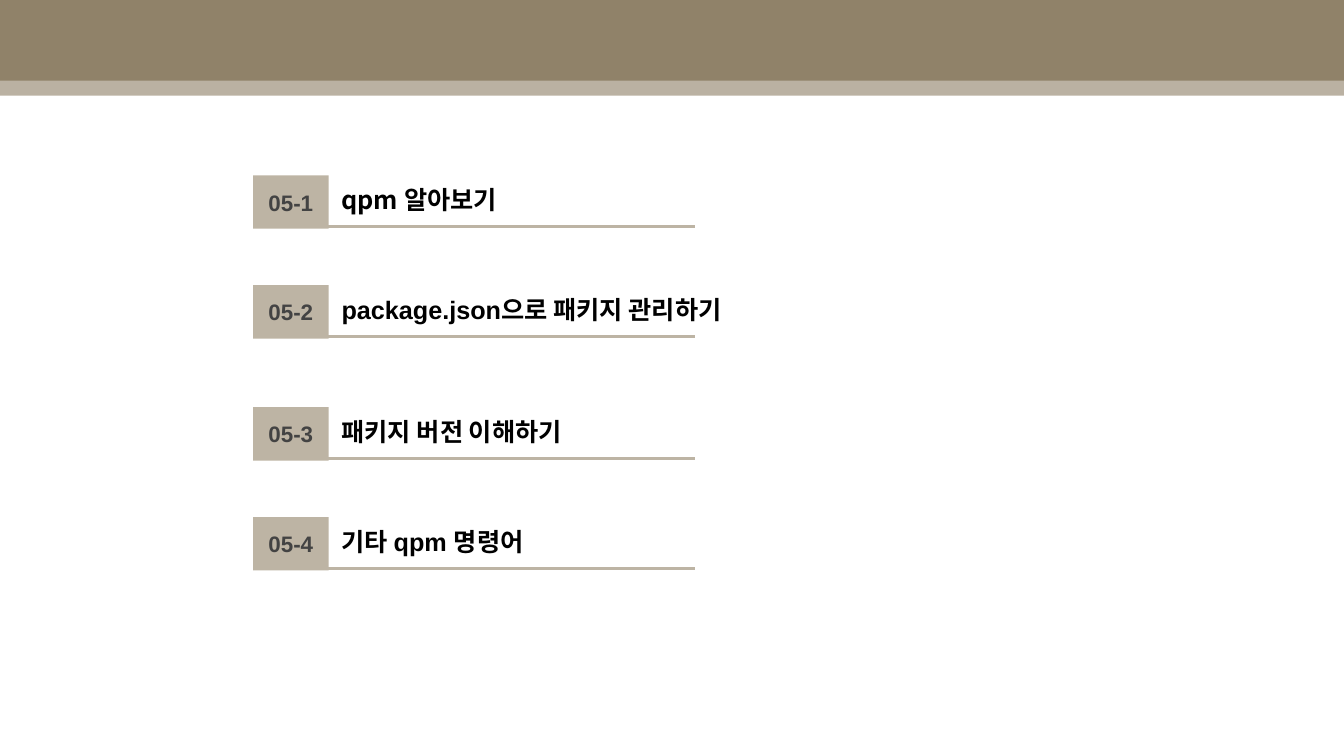
from lxml import etree
from pptx import Presentation
from pptx.dml.color import RGBColor
from pptx.enum.shapes import MSO_CONNECTOR, MSO_SHAPE
from pptx.enum.text import MSO_ANCHOR, MSO_AUTO_SIZE, PP_ALIGN
from pptx.oxml.ns import qn
from pptx.util import Inches, Pt

RECTANGLE = MSO_SHAPE.RECTANGLE
STRAIGHT = MSO_CONNECTOR.STRAIGHT
MIDDLE, TOP = MSO_ANCHOR.MIDDLE, MSO_ANCHOR.TOP
CENTER, LEFT = PP_ALIGN.CENTER, PP_ALIGN.LEFT
FIT_SHAPE = MSO_AUTO_SIZE.SHAPE_TO_FIT_TEXT

COLUMNS, ROWS = 40, 30
LATIN, KOREAN = "Arial", "Noto Sans CJK KR"

SECTIONS = [
    ("05-1", "qpm 알아보기", KOREAN),
    ("05-2", "package.json으로 패키지 관리하기", LATIN),
    ("05-3", "패키지 버전 이해하기", LATIN),
    ("05-4", "기타 qpm 명령어", LATIN),
]
FIRST_ROW, ROW_STEP, PAIR_GAP = 6.96, 4.36, 0.48


def color(code):
    return RGBColor.from_string(code)


def write(frame, text, font=LATIN, size=18, ink="000000", align=LEFT, anchor=TOP):
    frame.word_wrap = True
    frame.vertical_anchor = anchor
    para = frame.paragraphs[0]
    para.alignment = align
    span = para.add_run()
    span.text = text
    span.font.name = font
    span.font.size = Pt(size)
    span.font.bold = True
    span.font.color.rgb = color(ink)
    east_asian = etree.SubElement(span.font._element, qn("a:ea"))
    east_asian.set("typeface", KOREAN)


class SlideBuilder:
    """Places elements on a grid of COLUMNS by ROWS."""

    band = "908269"
    accent = "BDB4A4"
    label_ink = "434343"

    def __init__(self, deck):
        self.deck = deck
        self.slide = deck.slides.add_slide(deck.slide_layouts[6])

    def x(self, columns):
        return round(self.deck.slide_width * columns / COLUMNS)

    def y(self, rows):
        return round(self.deck.slide_height * rows / ROWS)

    def area(self, left, top, width, height):
        return self.x(left), self.y(top), self.x(width), self.y(height)

    def block(self, left, top, width, height, fill, opacity=100):
        box = self.slide.shapes.add_shape(RECTANGLE, *self.area(left, top, width, height))
        box.shadow.inherit = False
        box.line.fill.background()
        box.fill.solid()
        box.fill.fore_color.rgb = color(fill)
        if opacity < 100:
            tint = box._element.spPr.find(qn("a:solidFill"))[0]
            etree.SubElement(tint, qn("a:alpha")).set("val", str(opacity * 1000))
        return box

    def text(self, left, top, width, height, words, **style):
        box = self.slide.shapes.add_textbox(*self.area(left, top, width, height))
        write(box.text_frame, words, **style)
        box.text_frame.auto_size = FIT_SHAPE

    def rule(self, left, right, row):
        line = self.slide.shapes.add_connector(
            STRAIGHT, self.x(left), self.y(row), self.x(right), self.y(row))
        line.line.color.rgb = color(self.accent)
        line.line.width = Pt(2.25)
        etree.SubElement(line._element.spPr, qn("a:effectLst"))

    def header(self):
        self.block(0, 0, COLUMNS, 3.2, self.band)
        self.block(0, 2.6, COLUMNS, 1.2, self.band, opacity=62)

    def section(self, row, number, title, font):
        label = self.block(7.53, row, 2.25, 2.12, self.accent)
        write(label.text_frame, number, size=16, ink=self.label_ink,
              align=CENTER, anchor=MIDDLE)
        self.text(9.87, row + 0.16, 13.05, 1.6, title, font=font)
        self.rule(9.75, 20.67, row + 2.04)


def main():
    deck = Presentation()
    deck.slide_width, deck.slide_height = Inches(13.33), Inches(7.5)
    page = SlideBuilder(deck)
    page.header()
    for index, entry in enumerate(SECTIONS):
        page.section(FIRST_ROW + index * ROW_STEP + index // 2 * PAIR_GAP, *entry)
    deck.save("out.pptx")


if __name__ == "__main__":
    main()
